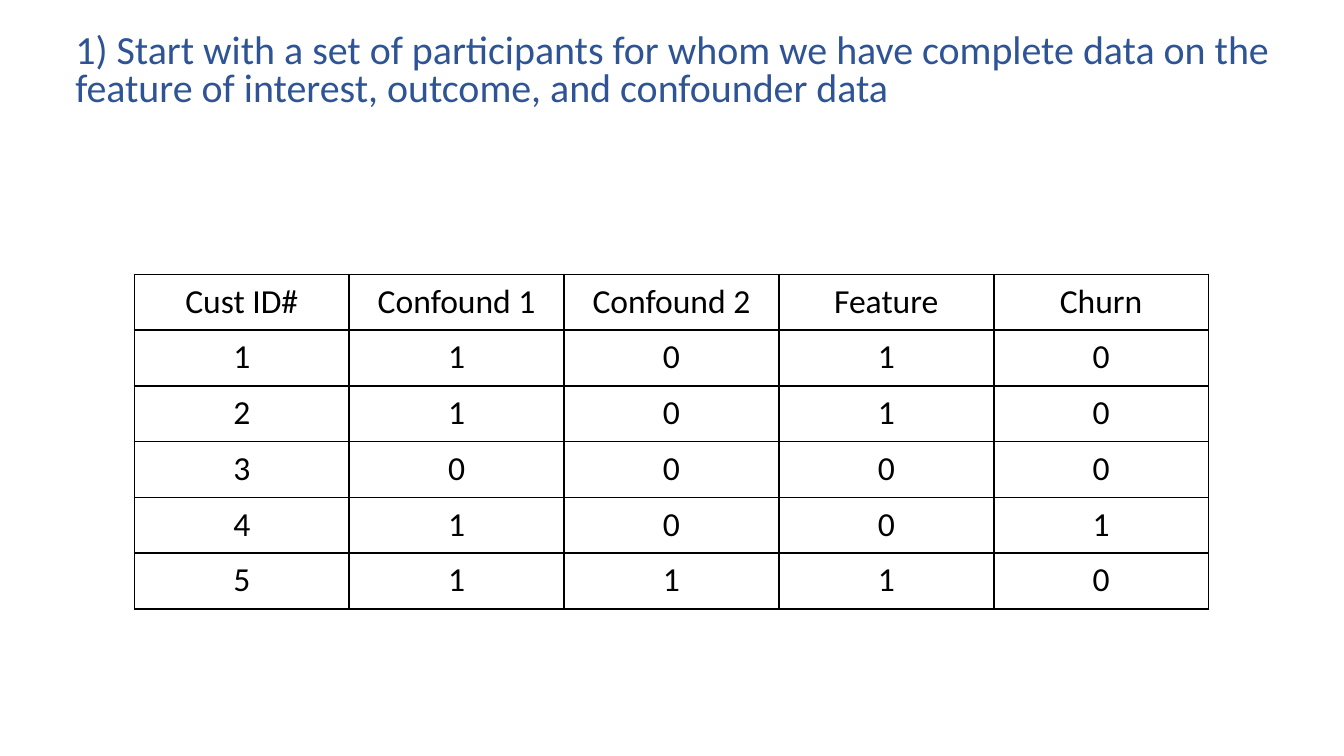
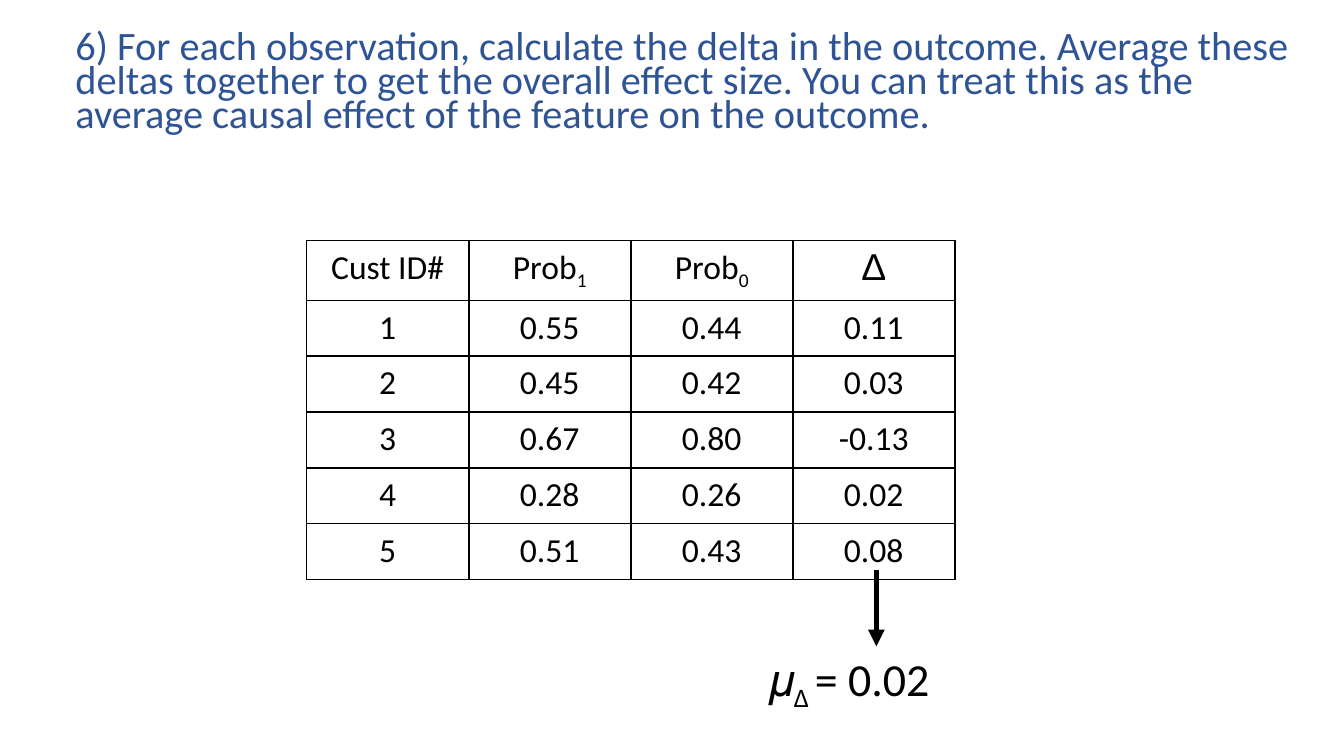
from dataclasses import dataclass
from typing import Any, NamedTuple

import pptx
import pptx.dml.color
import pptx.enum.shapes
import pptx.enum.text
import pptx.oxml.ns
import pptx.util
from lxml import etree

Pt = pptx.util.Pt
RGBColor = pptx.dml.color.RGBColor
PP_ALIGN = pptx.enum.text.PP_ALIGN
qn = pptx.oxml.ns.qn

# Shared look
BLUE = RGBColor(0x2F, 0x54, 0x96)
BLACK = RGBColor(0, 0, 0)
BODY_FONT = "Calibri"
SYMBOL_FONT = "Arial"
BORDER_WIDTH = Pt(0.96)
ROW_HEIGHT = Pt(29.9)
TEXT_INSET = Pt(5)
BOX_FRAME = {
    "margin_left": TEXT_INSET,
    "margin_right": TEXT_INSET,
    "margin_top": TEXT_INSET,
    "margin_bottom": TEXT_INSET,
    "word_wrap": True,
    "auto_size": pptx.enum.text.MSO_AUTO_SIZE.NONE,
    "vertical_anchor": pptx.enum.text.MSO_ANCHOR.TOP,
}
CELL_FRAME = {
    "margin_left": TEXT_INSET,
    "margin_right": TEXT_INSET,
    "margin_top": Pt(3.6),
    "margin_bottom": Pt(3.6),
    "vertical_anchor": pptx.enum.text.MSO_ANCHOR.TOP,
}


class Piece(NamedTuple):
    """A run of text that may differ from its surroundings."""
    text: str
    subscript: bool = False
    changes: dict[str, Any] = {}


@dataclass(frozen=True)
class Title:
    text: str
    size: float
    line_spacing: float


@dataclass(frozen=True)
class Grid:
    left: float
    top: float
    column_width: float
    header_height: float
    header: list[list[Piece]]
    rows: list[tuple[str, ...]]


def apply_format(target: Any, values: dict[str, Any]) -> None:
    for name, value in values.items():
        setattr(target, name, value)


def font_format(size: float, color: RGBColor) -> dict[str, Any]:
    return {"name": BODY_FONT, "size": Pt(size), "color.rgb": color}


def write_pieces(paragraph: Any, pieces: list[Piece], size: float,
                 color: RGBColor = BLACK) -> None:
    for piece in pieces:
        run = paragraph.add_run()
        run.text = piece.text
        apply_format(run.font, {"name": BODY_FONT, "size": Pt(size)} | piece.changes)
        run.font.color.rgb = color
        if piece.subscript:
            run._r.get_or_add_rPr().set("baseline", "-25000")


def add_titled_slide(presentation: Any, title: Title) -> Any:
    slide = presentation.slides.add_slide(presentation.slide_layouts[5])
    shape = slide.shapes.title
    apply_format(shape, {"left": Pt(35.4), "top": Pt(13), "width": Pt(667.5), "height": Pt(44)})
    apply_format(shape.text_frame, BOX_FRAME)
    paragraph = shape.text_frame.paragraphs[0]
    apply_format(paragraph, {"alignment": PP_ALIGN.LEFT, "line_spacing": title.line_spacing})
    write_pieces(paragraph, [Piece(title.text)], title.size, BLUE)
    return slide


def add_borders(cell: Any) -> None:
    properties = cell._tc.get_or_add_tcPr()
    for position, side in enumerate(("lnL", "lnR", "lnT", "lnB")):
        line = etree.Element(qn(f"a:{side}"), w=str(BORDER_WIDTH))
        fill = etree.SubElement(line, qn("a:solidFill"))
        etree.SubElement(fill, qn("a:srgbClr"), val=str(BLACK))
        properties.insert(position, line)


def add_grid(slide: Any, grid: Grid) -> None:
    lines = [grid.header] + [[[Piece(value)] for value in row] for row in grid.rows]
    columns = len(grid.header)
    height = Pt(grid.header_height) + ROW_HEIGHT * len(grid.rows)
    table = slide.shapes.add_table(len(lines), columns, Pt(grid.left), Pt(grid.top),
                                   Pt(grid.column_width) * columns, height).table
    apply_format(table, {"first_row": False, "horz_banding": False})
    for row_index, line in enumerate(lines):
        table.rows[row_index].height = ROW_HEIGHT if row_index else Pt(grid.header_height)
        for column_index, pieces in enumerate(line):
            cell = table.cell(row_index, column_index)
            apply_format(cell, CELL_FRAME)
            cell.fill.background()
            add_borders(cell)
            paragraph = cell.text_frame.paragraphs[0]
            paragraph.alignment = PP_ALIGN.CENTER
            write_pieces(paragraph, pieces, 18)


def add_down_arrow(slide: Any, x: float, top: float, bottom: float) -> None:
    arrow = slide.shapes.add_connector(pptx.enum.shapes.MSO_CONNECTOR.STRAIGHT,
                                       Pt(x), Pt(top), Pt(x), Pt(bottom))
    arrow.line.color.rgb = BLACK
    arrow.line.width = Pt(3)
    etree.SubElement(arrow.line._get_or_add_ln(), qn("a:tailEnd"), type="triangle")
    etree.SubElement(arrow._element.spPr, qn("a:effectLst"))


def add_mean(slide: Any) -> None:
    box = slide.shapes.add_textbox(Pt(401), Pt(349.2), Pt(142), Pt(44))
    apply_format(box.text_frame, BOX_FRAME | {"margin_left": Pt(10.6)})
    paragraph = box.text_frame.paragraphs[0]
    paragraph.line_spacing = 0.7
    write_pieces(paragraph, [Piece("𝜇"), Piece("Δ ", True), Piece("= 0.02")], 24.6)


# Slide content
PARTICIPANTS_TITLE = Title(
    "1) Start with a set of participants for whom we have complete data on the "
    "feature of interest, outcome, and confounder data", 21.4, 0.8)
PARTICIPANTS = Grid(
    72, 147, 115.1, 29.9,
    [[Piece(name)] for name in ("Cust ID#", "Confound 1", "Confound 2", "Feature", "Churn")],
    [
        ("1", "1", "0", "1", "0"),
        ("2", "1", "0", "1", "0"),
        ("3", "0", "0", "0", "0"),
        ("4", "1", "0", "0", "1"),
        ("5", "1", "1", "1", "0"),
    ])

EFFECT_TITLE = Title(
    "6) For each observation, calculate the delta in the outcome. Average these "
    "deltas together to get the overall effect size. You can treat this as the "
    "average causal effect of the feature on the outcome.", 21.6, 0.7)
EFFECTS = Grid(
    164.3, 128.8, 86.8, 32.2,
    [
        [Piece("Cust ID#")],
        [Piece("Prob"), Piece("1", True)],
        [Piece("Prob"), Piece("0", True)],
        [Piece("Δ", changes={"name": SYMBOL_FONT, "size": Pt(20)})],
    ],
    [
        ("1", "0.55", "0.44", "0.11"),
        ("2", "0.45", "0.42", "0.03"),
        ("3", "0.67", "0.80", "-0.13"),
        ("4", "0.28", "0.26", "0.02"),
        ("5", "0.51", "0.43", "0.08"),
    ])


def main() -> None:
    presentation = pptx.Presentation()
    apply_format(presentation, {"slide_width": Pt(720), "slide_height": Pt(405)})

    # Participants with complete data
    add_grid(add_titled_slide(presentation, PARTICIPANTS_TITLE), PARTICIPANTS)

    # Deltas and their mean
    slide = add_titled_slide(presentation, EFFECT_TITLE)
    add_grid(slide, EFFECTS)
    add_down_arrow(slide, 469.5, 305.3, 346.3)
    add_mean(slide)

    presentation.save("out.pptx")


if __name__ == "__main__":
    main()
